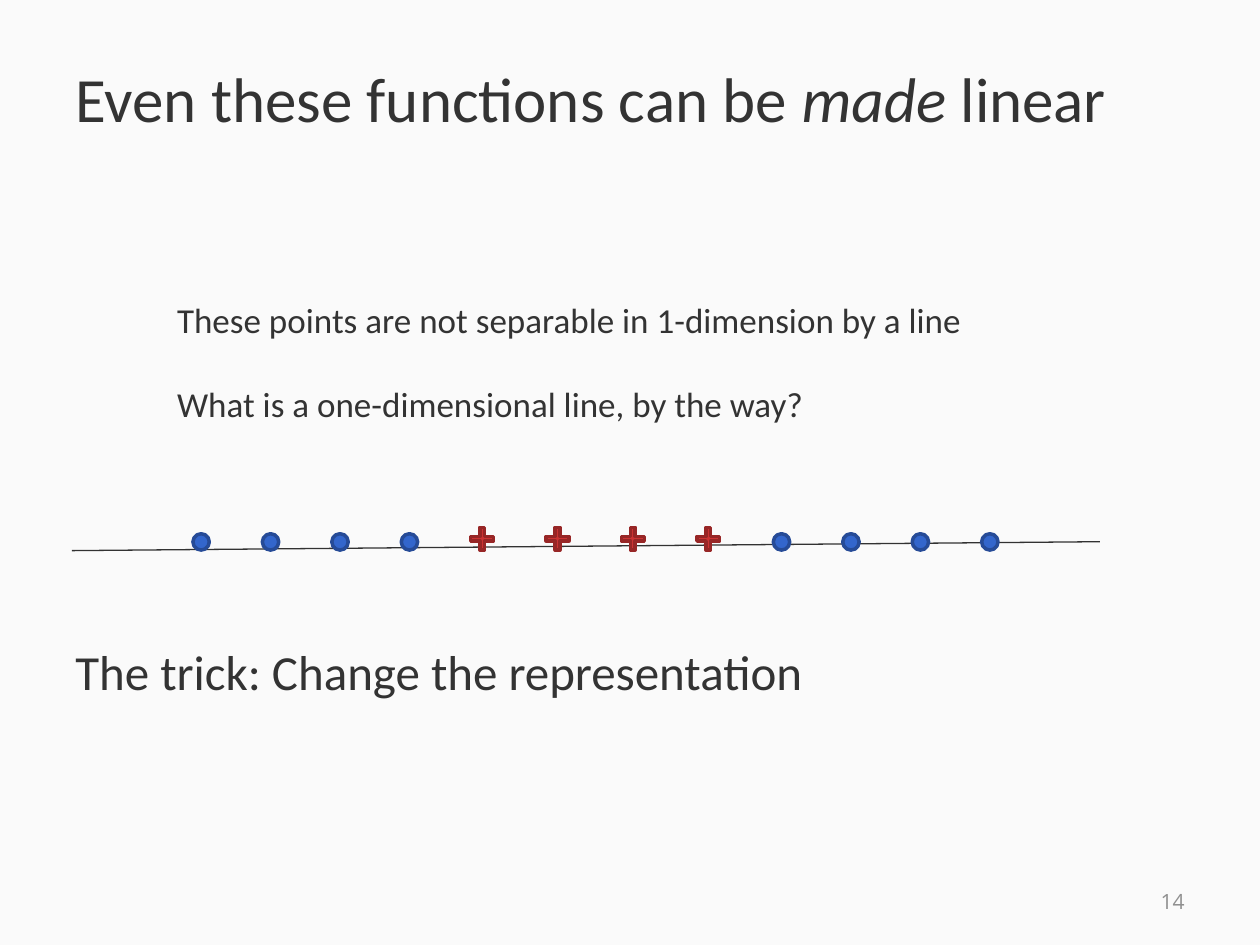
from dataclasses import dataclass

from lxml.etree import SubElement
from pptx import Presentation
from pptx.dml.color import RGBColor
from pptx.enum.shapes import MSO_CONNECTOR, MSO_SHAPE
from pptx.enum.text import MSO_ANCHOR as Anchor, PP_ALIGN as Align
from pptx.oxml.ns import qn
from pptx.util import Cm, Pt


@dataclass(frozen=True)
class Theme:
    background: str = "FAFAFA"
    text: str = "333333"
    muted: str = "909090"
    axis: str = "323232"
    circle: tuple = ("3366CC", "264B97")
    plus: tuple = ("CC3333", "972626")
    body_font: str = "Calibri"
    number_font: str = "Open Sans"
    title_size: int = 36
    trick_size: int = 28
    note_size: int = 20
    number_size: int = 12


class SlideBuilder:
    """Draws styled elements on one slide."""

    def __init__(self, slide, theme):
        self.slide = slide
        self.theme = theme
        fill = slide.background.fill
        fill.solid()
        fill.fore_color.rgb = RGBColor.from_string(theme.background)

    def text(self, box, paragraphs, size, font=None, color=None,
             align=Align.LEFT, anchor=Anchor.TOP, gap=0, wrap=True):
        shape = self.slide.shapes.add_textbox(*map(Cm, box))
        frame = shape.text_frame
        frame.word_wrap = wrap
        frame.vertical_anchor = anchor
        for index, runs in enumerate(paragraphs):
            paragraph = frame.add_paragraph() if index else frame.paragraphs[0]
            paragraph.alignment = align
            paragraph.space_before = Pt(gap if index else 0)
            for words, italic in runs:
                run = paragraph.add_run()
                run.text = words
                run.font.name = font or self.theme.body_font
                run.font.size = Pt(size)
                run.font.italic = italic
                run.font.color.rgb = RGBColor.from_string(color or self.theme.text)

    def line(self, start, end):
        connector = self.slide.shapes.add_connector(
            MSO_CONNECTOR.STRAIGHT, *map(Cm, start + end))
        connector.line.color.rgb = RGBColor.from_string(self.theme.axis)
        connector.line.width = Pt(0.75)
        SubElement(connector._element.spPr, qn("a:effectLst"))

    def marker(self, kind, left, top, size, colors):
        shape = self.slide.shapes.add_shape(kind, Cm(left), Cm(top), Cm(size), Cm(size))
        shape.shadow.inherit = False
        fill, outline = map(RGBColor.from_string, colors)
        shape.fill.solid()
        shape.fill.fore_color.rgb = fill
        shape.line.color.rgb = outline
        shape.line.width = Pt(2)
        return shape


theme = Theme()
presentation = Presentation()
presentation.slide_width = Cm(25.4)
presentation.slide_height = Cm(19.05)
slide = presentation.slides.add_slide(presentation.slide_layouts[6])
builder = SlideBuilder(slide, theme)

builder.line((1.45, 11.1), (22.17, 10.92))
builder.text((1.27, 0.38, 22.86, 3.18),
             [[("Even these functions can be ", False), ("made ", True), ("linear", False)]],
             theme.title_size, anchor=Anchor.MIDDLE)
builder.text((1.27, 12.8, 22.86, 1.5),
             [[("The trick: Change the representation", False)]], theme.trick_size)
builder.text((18.2, 17.65, 5.93, 1.02), [[("14", False)]], theme.number_size,
             font=theme.number_font, color=theme.muted,
             align=Align.RIGHT, anchor=Anchor.MIDDLE)

for group_left in (3.89, 15.59):
    for index in range(4):
        builder.marker(MSO_SHAPE.OVAL, group_left + index * 1.4, 10.76, 0.33, theme.circle)
for index in range(4):
    plus = builder.marker(MSO_SHAPE.CROSS, 9.49 + index * 1.52, 10.63, 0.46, theme.plus)
    plus.adjustments[0] = 0.4

builder.text((3.32, 5.9, 16.5, 2.82),
             [[("These points are not separable in 1-dimension by a line", False)],
              [("What is a one-dimensional line, by the way?", False)]],
             theme.note_size, gap=24, wrap=False)

presentation.save("out.pptx")
